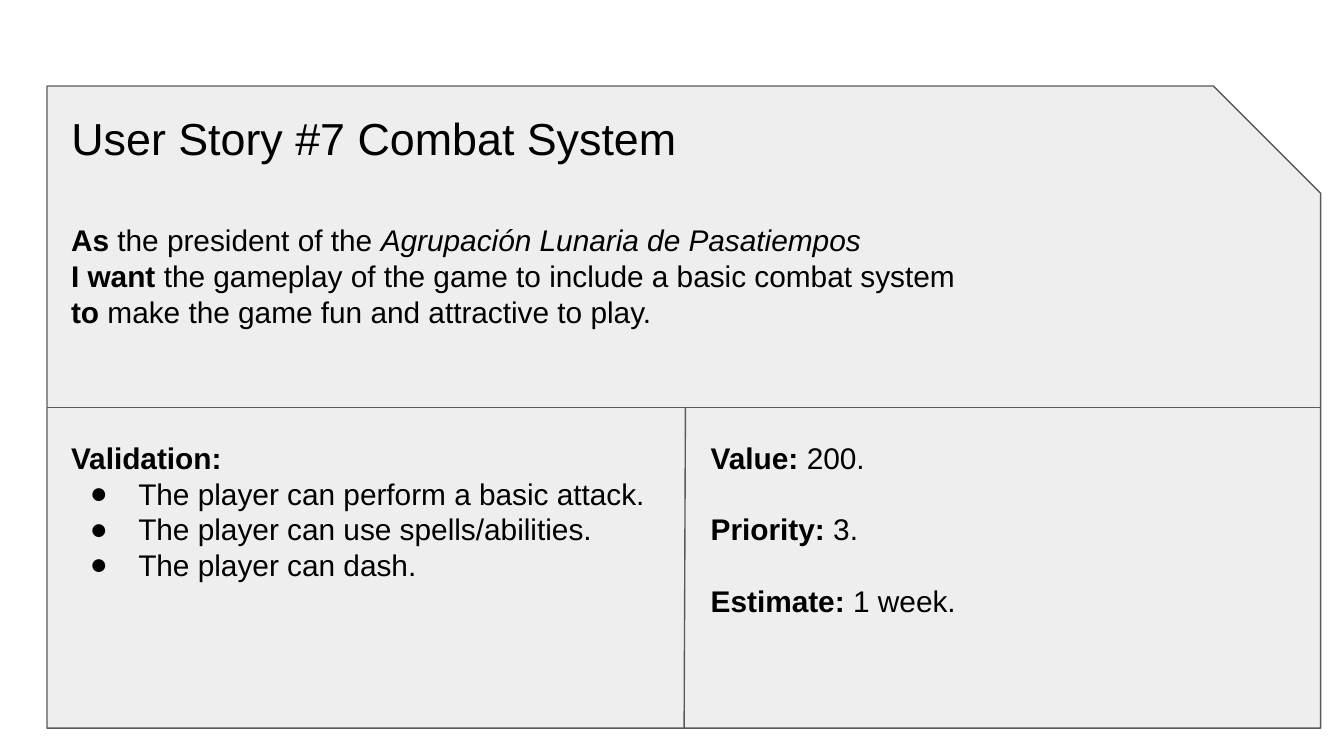
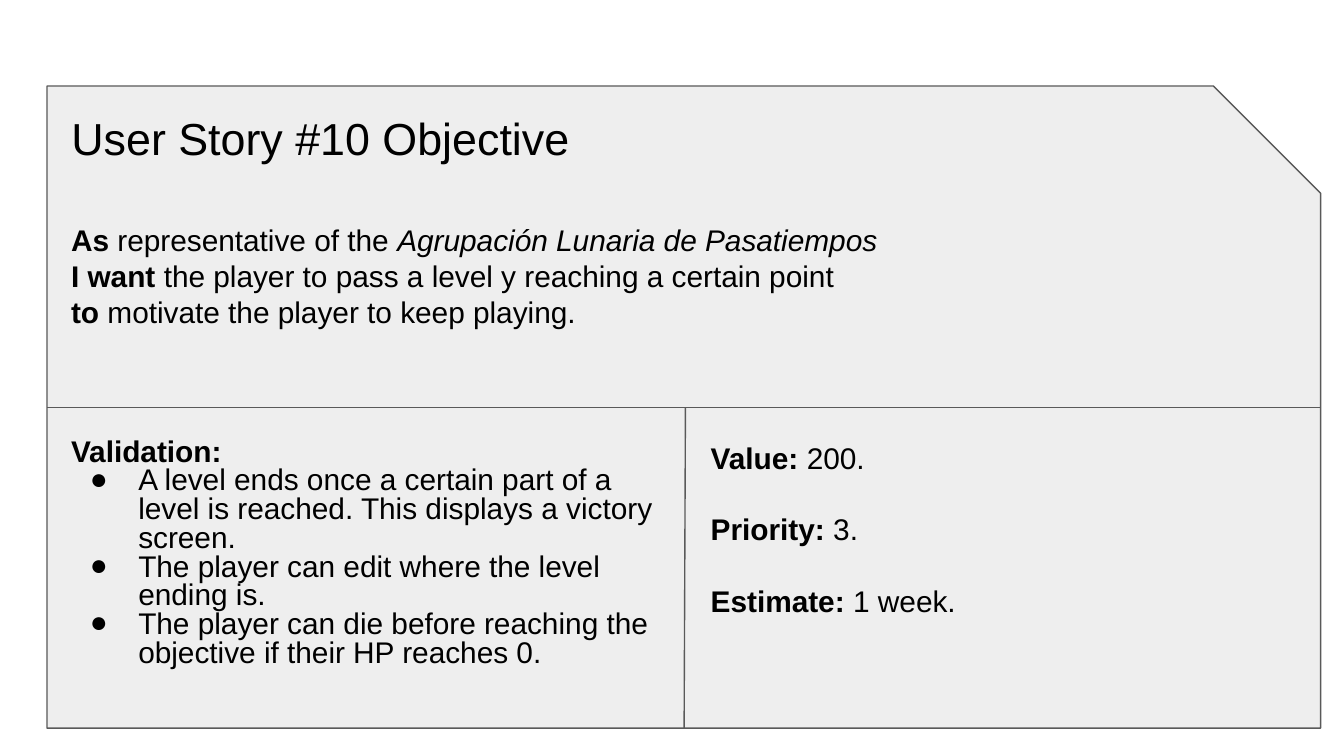
from lxml import etree
from pptx import Presentation
from pptx.dml.color import RGBColor
from pptx.enum import shapes, text
from pptx.oxml import ns
from pptx.util import Pt

TITLE_ONLY = 5
LEFT, TOP, RIGHT, BOTTOM = 25.2, 46.1, 707.5, 390.1
MIDDLE = 218.2
COLUMN_LEFT, COLUMN_RIGHT = 31, 373.7
COLUMN_TOP, COLUMN_WIDTH, COLUMN_HEIGHT = 228.2, 329, 149.8
WIDE = 609
NORMAL, BOLD, ITALIC = "normal", "bold", "italic"
ASSOCIATION = "Agrupación Lunaria de Pasatiempos"

STORIES = [
    {
        "title": "User Story #7 Combat System",
        "role": "the president of the ",
        "wish": "the gameplay of the game to include a basic combat system",
        "reason": "make the game fun and attractive to play.",
        "validation": [
            "The player can perform a basic attack.",
            "The player can use spells/abilities.",
            "The player can dash.",
        ],
        "spacing": 1.0,
    },
    {
        "title": "User Story #10 Objective",
        "role": "representative of the ",
        "wish": "the player to pass a level y reaching a certain point",
        "reason": "motivate the player to keep playing.",
        "validation": [
            "A level ends once a certain part of a level is reached. "
            "This displays a victory screen.",
            "The player can edit where the level ending is.",
            "The player can die before reaching the objective if their HP reaches 0.",
        ],
        "spacing": 0.8,
    },
]
PLANNING = [("Value: ", "200."), ("Priority: ", "3."), ("Estimate: ", "1 week.")]


def color(hex_string):
    return RGBColor.from_string(hex_string)


class StoryDeck:
    """Holds the shared style and the slide being drawn."""

    font = "Arial"
    ink, card_fill, outline = "000000", "EEEEEE", "595959"
    line_width, inset = 0.75, 7.2
    title_size, body_size = 24, 16
    bullet_indent, bullet_hang = 36, 25.9

    def __init__(self):
        self.presentation = Presentation()
        self.presentation.slide_width = Pt(720)
        self.presentation.slide_height = Pt(405)
        self.slide = None

    def add_slide(self):
        layout = self.presentation.slide_layouts[TITLE_ONLY]
        self.slide = self.presentation.slides.add_slide(layout)

    def card(self):
        shape = self.slide.shapes.add_shape(
            shapes.MSO_SHAPE.SNIP_1_RECTANGLE,
            Pt(LEFT), Pt(TOP), Pt(RIGHT - LEFT), Pt(BOTTOM - TOP))
        shape.adjustments[0] = 0.167
        shape.shadow.inherit = False
        shape.fill.solid()
        shape.fill.fore_color.rgb = color(self.card_fill)
        self.style_line(shape.line)

    def divider(self, x1, y1, x2, y2):
        connector = self.slide.shapes.add_connector(
            shapes.MSO_CONNECTOR.STRAIGHT, Pt(x1), Pt(y1), Pt(x2), Pt(y2))
        self.style_line(connector.line)
        etree.SubElement(connector._element.spPr, ns.qn("a:effectLst"))

    def style_line(self, line):
        line.color.rgb = color(self.outline)
        line.width = Pt(self.line_width)

    def style_frame(self, frame):
        frame.word_wrap = True
        frame.auto_size = text.MSO_AUTO_SIZE.NONE
        frame.vertical_anchor = text.MSO_ANCHOR.TOP
        frame.margin_left = frame.margin_right = Pt(self.inset)
        frame.margin_top = frame.margin_bottom = Pt(self.inset)

    def style_paragraph(self, paragraph, size, spacing):
        paragraph.alignment = text.PP_ALIGN.LEFT
        paragraph.line_spacing = spacing
        paragraph.font.name = self.font
        paragraph.font.size = Pt(size)
        paragraph.font.color.rgb = color(self.ink)

    def title(self, wording):
        """Fill the title placeholder and bring it in front of the card."""
        title = self.slide.shapes.title
        title.left, title.top = Pt(COLUMN_LEFT), Pt(55.4)
        title.width, title.height = Pt(WIDE), Pt(36.7)
        title.text_frame.text = wording
        self.style_frame(title.text_frame)
        self.style_paragraph(title.text_frame.paragraphs[0], self.title_size, 0.9)
        self.slide.shapes._spTree.append(title._element)

    def text_box(self, left, top, width, height, lines, spacing=1.0, gap=0):
        """Write one paragraph per line, each a list of (wording, style) runs."""
        box = self.slide.shapes.add_textbox(Pt(left), Pt(top), Pt(width), Pt(height))
        frame = box.text_frame
        self.style_frame(frame)
        for index, runs in enumerate(lines):
            paragraph = frame.add_paragraph() if index else frame.paragraphs[0]
            self.style_paragraph(paragraph, self.body_size, spacing)
            paragraph.space_after = Pt(gap)
            for wording, style in runs:
                run = paragraph.add_run()
                run.text = wording
                run.font.bold = style == BOLD
                run.font.italic = style == ITALIC
        return frame.paragraphs

    def bullet(self, paragraph):
        properties = paragraph._p.get_or_add_pPr()
        properties.set("marL", str(Pt(self.bullet_indent)))
        properties.set("indent", str(-Pt(self.bullet_hang)))
        bullet_color = etree.Element(ns.qn("a:buClr"))
        etree.SubElement(bullet_color, ns.qn("a:srgbClr"), val=self.ink)
        bullet_font = etree.Element(ns.qn("a:buFont"), typeface=self.font)
        character = etree.Element(ns.qn("a:buChar"), char="●")
        defaults = properties.find(ns.qn("a:defRPr"))
        for element in (bullet_color, bullet_font, character):
            defaults.addprevious(element)

    def story(self, title, role, wish, reason, validation, spacing):
        self.add_slide()
        self.card()
        self.title(title)
        self.text_box(COLUMN_LEFT, 111.6, WIDE, 79.9, [
            [("As ", BOLD), (role, NORMAL), (ASSOCIATION, ITALIC)],
            [("I want ", BOLD), (wish, NORMAL)],
            [("to ", BOLD), (reason, NORMAL)],
        ])
        self.divider(LEFT, MIDDLE, RIGHT, MIDDLE)
        self.divider(366.5, BOTTOM, 367.2, MIDDLE)
        column = (COLUMN_TOP, COLUMN_WIDTH, COLUMN_HEIGHT)
        checks = [[("Validation:", BOLD)]] + [[(check, NORMAL)] for check in validation]
        paragraphs = self.text_box(COLUMN_LEFT, *column, checks, spacing)
        for paragraph in paragraphs[1:]:
            self.bullet(paragraph)
        planning = [[(label, BOLD), (value, NORMAL)] for label, value in PLANNING]
        self.text_box(COLUMN_RIGHT, *column, planning, gap=19.2)


def main():
    deck = StoryDeck()
    for story in STORIES:
        deck.story(**story)
    deck.presentation.save("out.pptx")


if __name__ == "__main__":
    main()
